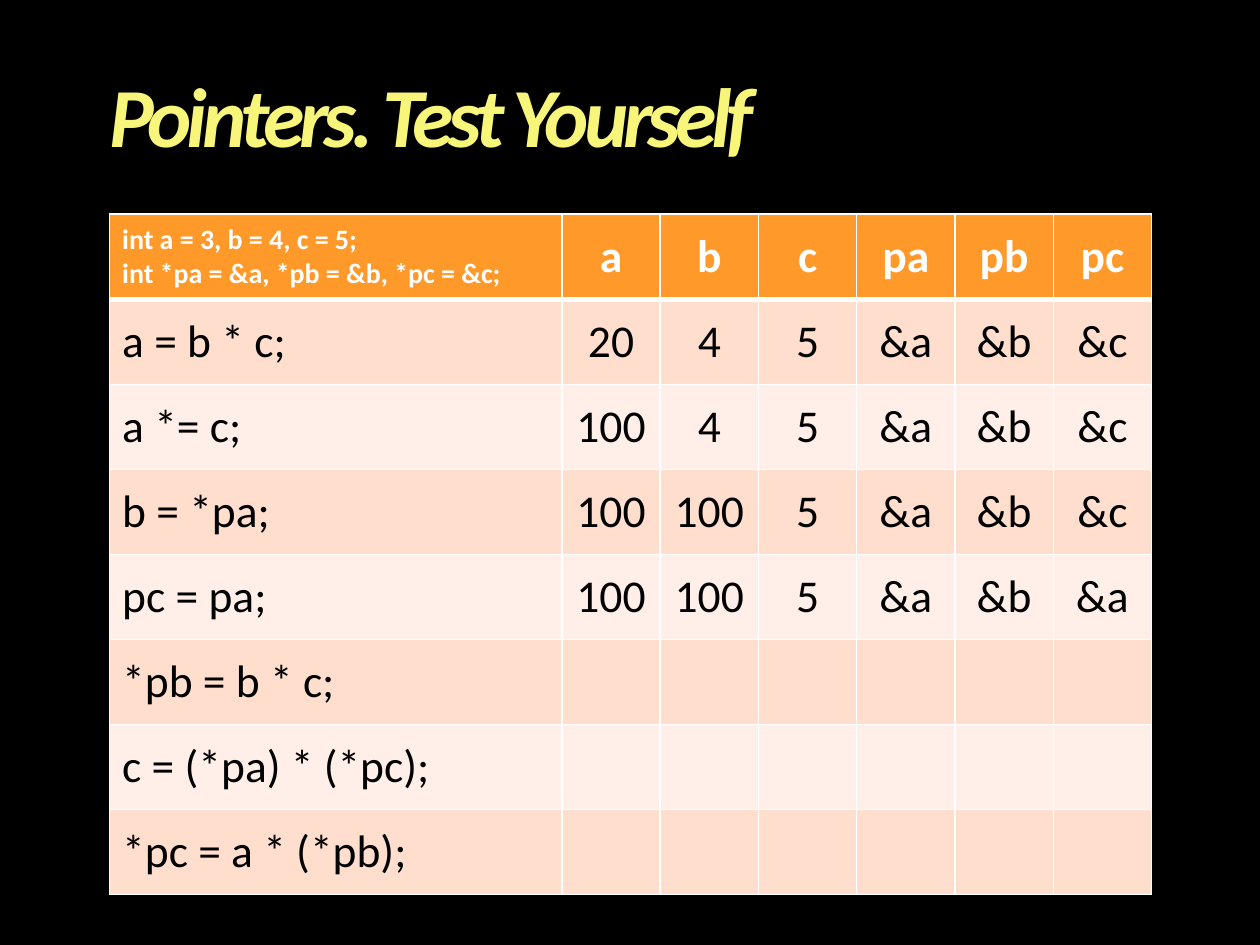
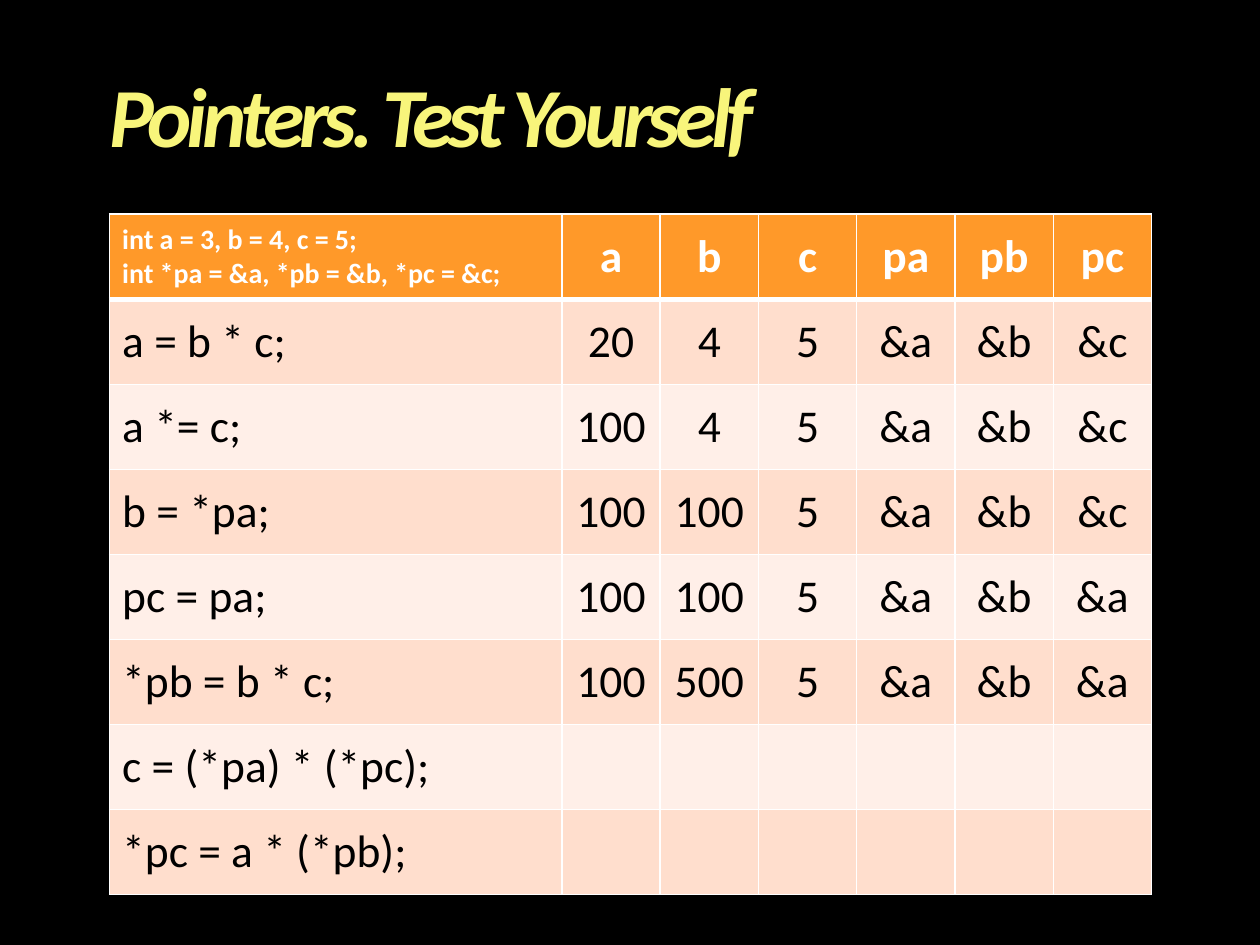
from lxml.etree import SubElement
from pptx import Presentation
from pptx.dml.color import RGBColor
from pptx.enum.text import MSO_ANCHOR, PP_ALIGN
from pptx.oxml.ns import qn
from pptx.util import Inches, Pt

BLACK, WHITE, YELLOW = "000000", "FFFFFF", "F8F57B"
ORANGE = "FF9929"
BANDS = ["FFDECD", "FFEFE8"]

LEFT, WIDTH = 0.87, 8.27
VALUE_WIDTH = 0.78

TITLE_FONT = {"name": "Calibri", "size": Pt(48), "bold": True, "italic": True}
CODE_FONT = {"name": "Calibri", "size": Pt(16), "bold": True}
HEAD_FONT = {"name": "Calibri", "size": Pt(26), "bold": True}
BODY_FONT = {"name": "Calibri", "size": Pt(26), "bold": False}

DECLARATIONS = "int a = 3, b = 4, c = 5;\nint *pa = &a, *pb = &b, *pc = &c;"
VARIABLES = ["a", "b", "c", "pa", "pb", "pc"]
STATEMENTS = [
    "a = b * c;",
    "a *= c;",
    "b = *pa;",
    "pc = pa;",
    "*pb = b * c;",
    "c = (*pa) * (*pc);",
    "*pc = a * (*pb);",
]
ANSWERS = [
    ["20", "4", "5", "&a", "&b", "&c"],
    ["100", "4", "5", "&a", "&b", "&c"],
    ["100", "100", "5", "&a", "&b", "&c"],
    ["100", "100", "5", "&a", "&b", "&a"],
    ["100", "500", "5", "&a", "&b", "&a"],
]


def color(value):
    """Turn a hex string into a colour."""
    return RGBColor.from_string(value)


def write(frame, text, font, ink, align=PP_ALIGN.LEFT):
    """Write one paragraph per line of text in one format."""
    for index, line in enumerate(text.split("\n")):
        para = frame.add_paragraph() if index else frame.paragraphs[0]
        para.alignment = align
        span = para.add_run()
        span.text = line
        for name, value in font.items():
            setattr(span.font, name, value)
        span.font.color.rgb = color(ink)


def add_title(page, text):
    """Add the tightly spaced italic title."""
    box = page.shapes.add_textbox(
        Inches(LEFT), Inches(0.6), Inches(WIDTH), Inches(0.71))
    frame = box.text_frame
    settings = {"word_wrap": True, "vertical_anchor": MSO_ANCHOR.MIDDLE,
                "margin_left": 0, "margin_right": 0,
                "margin_top": 0, "margin_bottom": 0}
    for name, value in settings.items():
        setattr(frame, name, value)
    write(frame, text, TITLE_FONT, YELLOW)
    para = frame.paragraphs[0]
    para.line_spacing = 0.9
    para.runs[0].font._element.set("spc", "-300")


def add_borders(cell, top, bottom):
    """Draw white cell borders, with top and bottom widths in points."""
    properties = cell._tc.get_or_add_tcPr()
    for side, width in {"L": 1, "R": 1, "T": top, "B": bottom}.items():
        line = SubElement(properties, qn(f"a:ln{side}"), w=str(Pt(width)))
        fill = SubElement(line, qn("a:solidFill"))
        SubElement(fill, qn("a:srgbClr"), val=WHITE)


def fill_cell(cell, text, row, column):
    """Format a cell by its place in the table and write its text."""
    add_borders(cell, top=3 if row == 1 else 1, bottom=3 if row == 0 else 1)
    cell.fill.solid()
    cell.fill.fore_color.rgb = color(BANDS[(row - 1) % 2] if row else ORANGE)
    cell.vertical_anchor = MSO_ANCHOR.MIDDLE
    if not text:
        return
    if row:
        font, ink = BODY_FONT, BLACK
    else:
        font, ink = HEAD_FONT if column else CODE_FONT, WHITE
    align = PP_ALIGN.CENTER if column else PP_ALIGN.LEFT
    write(cell.text_frame, text, font, ink, align)


def add_trace_table(page, solved):
    """Add the table of statements with the first solved rows filled in."""
    rows = [[DECLARATIONS] + VARIABLES]
    for index, statement in enumerate(STATEMENTS):
        values = ANSWERS[index] if index < solved else [""] * len(VARIABLES)
        rows.append([statement] + values)
    table = page.shapes.add_table(
        len(rows), len(rows[0]),
        Inches(LEFT), Inches(1.7), Inches(WIDTH), Inches(5.4)).table
    for column in table.columns:
        column.width = Inches(VALUE_WIDTH)
    table.columns[0].width = Inches(WIDTH - VALUE_WIDTH * len(VARIABLES))
    for row, texts in enumerate(rows):
        for column, text in enumerate(texts):
            fill_cell(table.cell(row, column), text, row, column)


def add_page(deck, solved):
    """Add one black quiz slide."""
    page = deck.slides.add_slide(deck.slide_layouts[6])
    page.background.fill.solid()
    page.background.fill.fore_color.rgb = color(BLACK)
    add_title(page, "Pointers. Test Yourself")
    add_trace_table(page, solved)


def main():
    """Build the deck."""
    deck = Presentation()
    deck.slide_width, deck.slide_height = Inches(10), Inches(7.5)
    for solved in (4, 5):
        add_page(deck, solved)
    deck.save("out.pptx")


main()
